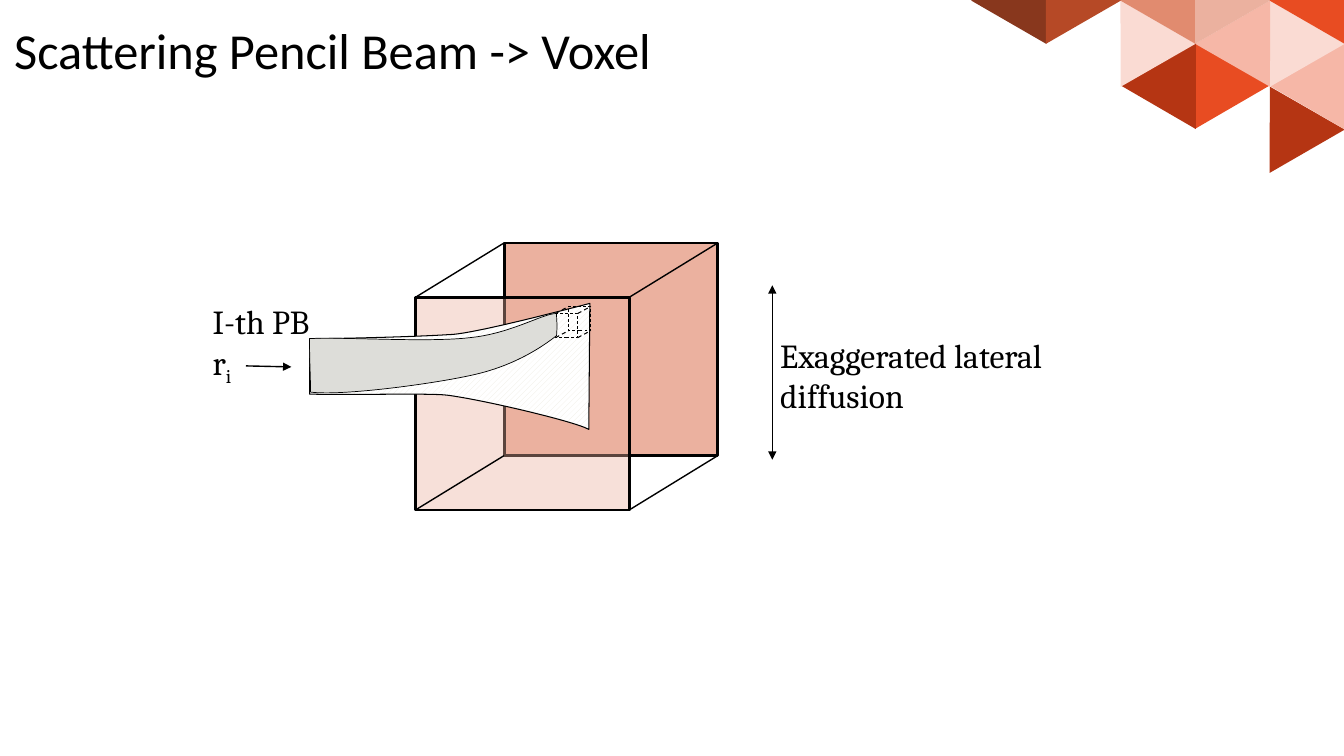
from lxml import etree
from pptx import Presentation
from pptx.dml.color import RGBColor
from pptx.enum.dml import MSO_LINE, MSO_PATTERN
from pptx.enum.shapes import MSO_CONNECTOR, MSO_SHAPE
from pptx.enum.text import MSO_ANCHOR, MSO_AUTO_SIZE, PP_ALIGN
from pptx.oxml.ns import qn
from pptx.util import Inches, Pt

COLORS = {
    "black": "000000", "white": "FFFFFF", "cream": "EEECE1", "beam": "DDDDD9",
    "brick": "B53513", "orange": "E84C22", "salmon": "F6B7A7", "blush": "FADBD3",
    "clay": "E18B6F", "peach": "EBB19F", "brown": "88371D", "rust": "B64926",
}
TRIANGLES = [  # left, top, rotation, colour
    (12.35, 0.81, 330, "brick"), (12.53, 0.48, 270, "salmon"),
    (12.35, 0.17, 210, "blush"), (11.79, 0.48, 90, "orange"),
    (11.98, 0.17, 150, "salmon"), (11.06, 0.48, 270, "brick"),
    (10.87, 0.17, 210, "blush"), (11.24, -0.47, 30, "clay"),
    (11.61, -0.47, 330, "peach"), (9.76, -0.47, 30, "brown"),
    (10.13, -0.47, 330, "rust"), (12.72, -0.47, 30, "orange"),
]
# Outlines: a start point, then lines (one point) and Bézier curves (three points).
SCATTER_CONE = [
    [(5.84, 4.26)],
    [(5.7, 4.18), (4.76, 3.96), (4.43, 3.92)],
    [(4.25, 3.9), (3.52, 3.92), (3.07, 3.91)],
    [(3.07, 3.36)],
    [(3.4, 3.36), (4.14, 3.34), (4.45, 3.32)],
    [(4.64, 3.32), (5.39, 3.13), (5.85, 3.01)],
    [(5.84, 4.26)],
]
PENCIL_BEAM = [
    [(3.07, 3.36)],
    [(3.36, 3.34), (4.25, 3.4), (4.66, 3.35)],
    [(5.07, 3.31), (5.38, 3.11), (5.52, 3.11)],
    [(5.52, 3.22), (5.53, 3.18), (5.52, 3.33)],
    [(5.38, 3.44), (5.1, 3.63), (4.69, 3.72)],
    [(4.29, 3.81), (3.39, 3.93), (3.08, 3.89)],
    [(3.08, 3.71), (3.07, 3.62), (3.07, 3.36)],
]


def rgb(name):
    return RGBColor.from_string(COLORS[name])


class SlideBuilder:
    title_font, label_font = "Calibri", "Cambria"

    def __init__(self, slide):
        self.slide = slide
        self.shapes = slide.shapes

    def style_line(self, line, width, dashed=False):
        line.color.rgb = rgb("black")
        line.width = Pt(width)
        if dashed:
            line.dash_style = MSO_LINE.DASH

    def style_font(self, paragraph, name, size):
        paragraph.alignment = PP_ALIGN.LEFT
        font = paragraph.font
        font.name, font.size = name, Pt(size)
        font.color.rgb = rgb("black")

    def title(self, text, left, top, width, height):
        title = self.slide.shapes.title
        title.left, title.top = Inches(left), Inches(top)
        title.width, title.height = Inches(width), Inches(height)
        frame = title.text_frame
        frame.text = text
        frame.auto_size = MSO_AUTO_SIZE.NONE
        frame.vertical_anchor = MSO_ANCHOR.TOP
        frame.margin_left = frame.margin_right = frame.margin_top = frame.margin_bottom = 0
        self.style_font(frame.paragraphs[0], self.title_font, 36)

    def shape(self, kind, left, top, width, height, fill=None, alpha=100, parent=None):
        shape = (parent or self).shapes.add_shape(
            kind, Inches(left), Inches(top), Inches(width), Inches(height))
        shape.shadow.inherit = False
        if fill:
            shape.fill.solid()
            shape.fill.fore_color.rgb = rgb(fill)
            if alpha < 100:
                color = shape.fill._xPr.find(".//" + qn("a:srgbClr"))
                etree.SubElement(color, qn("a:alpha"), val=str(alpha * 1000))
        else:
            shape.fill.background()
        return shape

    def triangles(self, specs):
        cluster = self.shapes.add_group_shape()
        for left, top, rotation, color in specs:
            triangle = self.shape(MSO_SHAPE.ISOSCELES_TRIANGLE, left, top, 0.86, 0.74,
                                  color, parent=cluster)
            triangle.rotation = rotation
            triangle.line.fill.background()

    def line(self, start, end, width=1, dashed=False, arrows=(), parent=None):
        """Draw a line; arrows holds headEnd (start) and/or tailEnd (end)."""
        connector = (parent or self).shapes.add_connector(
            MSO_CONNECTOR.STRAIGHT, *map(Inches, (*start, *end)))
        self.style_line(connector.line, width, dashed)
        for arrow in arrows:
            etree.SubElement(connector.line._get_or_add_ln(), qn("a:" + arrow),
                             type="triangle")
        etree.SubElement(connector._element.spPr, qn("a:effectLst"))

    def voxel(self, front, back, size, face_width, edge_width, dashed=False,
              fill=None, front_alpha=100, parent=None):
        """Draw a see-through box: two faces and the four edges joining them."""
        for corner, alpha in ((back, 100), (front, front_alpha)):
            face = self.shape(MSO_SHAPE.RECTANGLE, *corner, *size, fill, alpha, parent)
            self.style_line(face.line, face_width, dashed)
        for dx in (0, size[0]):
            for dy in (0, size[1]):
                self.line((front[0] + dx, front[1] + dy), (back[0] + dx, back[1] + dy),
                          edge_width, dashed, parent=parent)

    def outline(self, segments, width):
        """Draw a closed outline, bending each segment that has control points."""
        anchors = [tuple(map(Inches, segment[-1])) for segment in segments]
        builder = self.shapes.build_freeform(*anchors[0])
        builder.add_line_segments(anchors[1:], close=True)
        shape = builder.convert_to_shape()
        straight = list(shape._element.iter(qn("a:lnTo")))
        for side, segment in zip(straight, segments[1:]):
            if len(segment) == 3:
                curve = etree.Element(qn("a:cubicBezTo"))
                for x, y in segment:
                    etree.SubElement(curve, qn("a:pt"), x=str(Inches(x) - shape.left),
                                     y=str(Inches(y) - shape.top))
                side.getparent().replace(side, curve)
        shape.shadow.inherit = False
        self.style_line(shape.line, width)
        return shape

    def label(self, lines, left, top, width, height):
        """Add a label; each line is its text and an optional subscript."""
        box = self.shapes.add_textbox(*map(Inches, (left, top, width, height)))
        frame = box.text_frame
        frame.word_wrap = False
        frame.auto_size = MSO_AUTO_SIZE.SHAPE_TO_FIT_TEXT
        for index, (text, *subscript) in enumerate(lines):
            paragraph = frame.add_paragraph() if index else frame.paragraphs[0]
            paragraph.add_run().text = text
            for small in subscript:
                run = paragraph.add_run()
                run.text = small
                run.font._element.set("baseline", "-25000")
            self.style_font(paragraph, self.label_font, 24)


def main():
    deck = Presentation()
    deck.slide_width, deck.slide_height = Inches(13.33), Inches(7.5)
    page = SlideBuilder(deck.slides.add_slide(deck.slide_layouts[5]))

    page.triangles(TRIANGLES)
    page.title("Scattering Pencil Beam -> Voxel", 0.14, 0.19, 12.18, 1.17)

    page.voxel((4.12, 2.95), (5, 2.41), (2.12, 2.11), 2, 1, fill="peach", front_alpha=39)
    cone = page.outline(SCATTER_CONE, 0.75)
    cone.fill.patterned()
    cone.fill.pattern = MSO_PATTERN.WIDE_UPWARD_DIAGONAL
    cone.fill.fore_color.rgb = rgb("cream")
    cone.fill.back_color.rgb = rgb("white")
    page.voxel((5.51, 3.11), (5.64, 3.04), (0.22, 0.24), 0.5, 0.75, dashed=True,
               parent=page.shapes.add_group_shape())

    page.line((7.66, 2.83), (7.66, 4.56), arrows=("headEnd", "tailEnd"))
    page.label([("Exaggerated lateral",), ("diffusion",)], 7.64, 3.27, 3.19, 0.91)
    page.label([("I-th PB",), ("r", "i")], 2.01, 2.94, 1.33, 0.91)
    page.line((2.44, 3.63), (2.89, 3.64), arrows=("tailEnd",))
    beam = page.outline(PENCIL_BEAM, 0.5)
    beam.fill.solid()
    beam.fill.fore_color.rgb = rgb("beam")

    deck.save("out.pptx")


if __name__ == "__main__":
    main()
